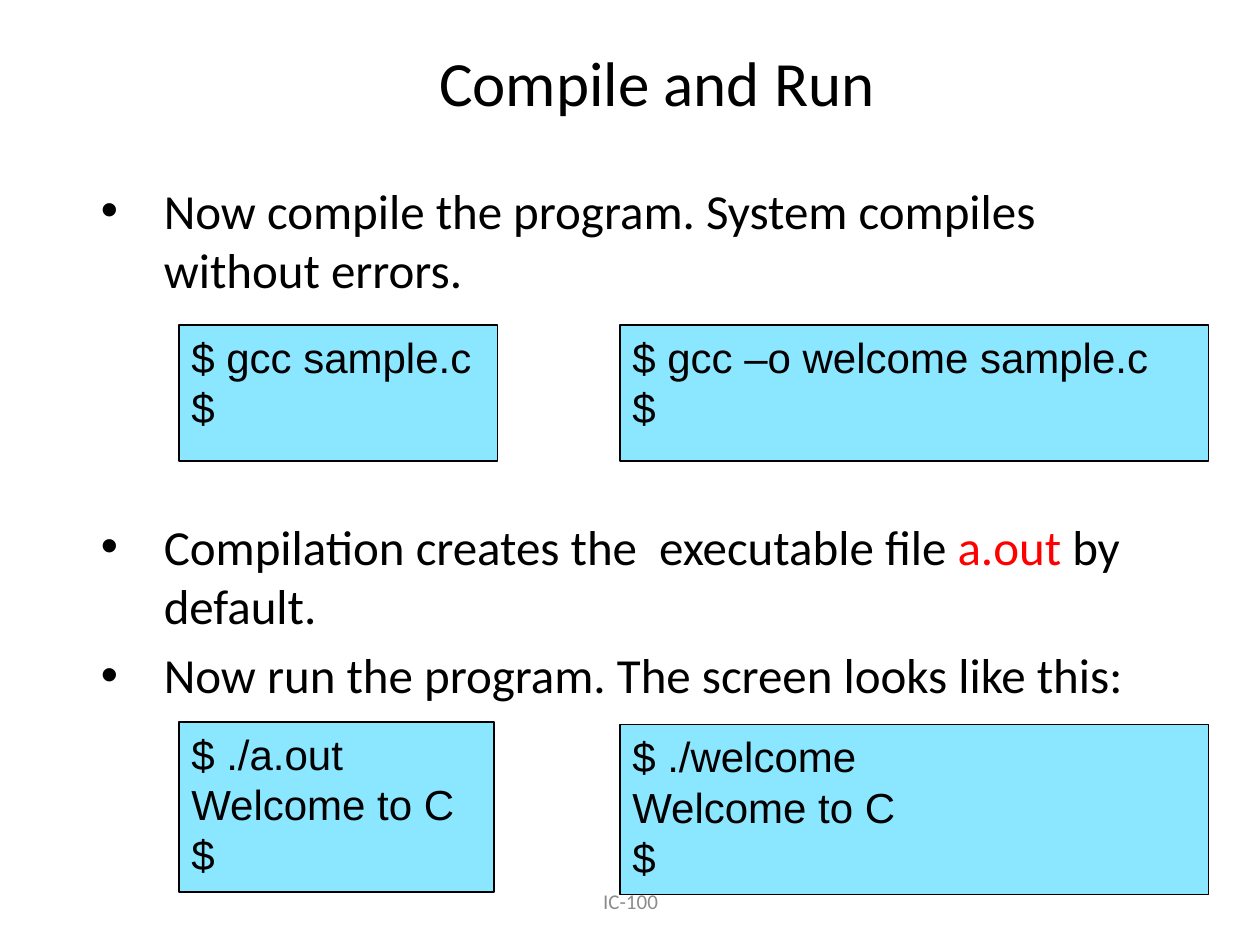
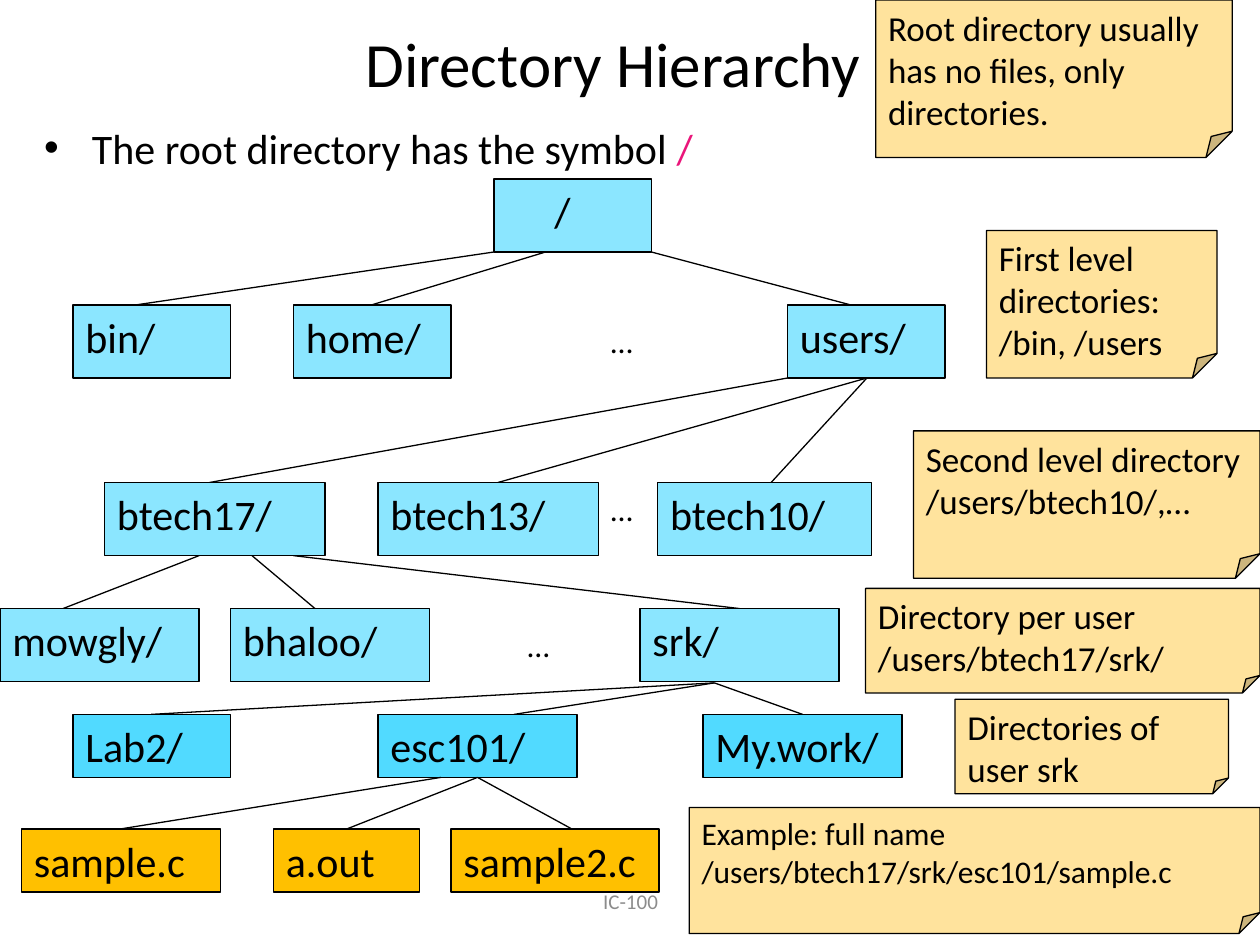
from pptx import Presentation
from pptx.dml.color import RGBColor
from pptx.enum.shapes import MSO_CONNECTOR, MSO_SHAPE
from pptx.enum.text import MSO_ANCHOR, MSO_AUTO_SIZE, PP_ALIGN
from pptx.oxml.ns import qn
from pptx.util import Inches, Pt
from lxml.etree import SubElement

BLACK = RGBColor(0x00, 0x00, 0x00)
GREY = RGBColor(0x8C, 0x8C, 0x8C)
RED = RGBColor(0xFF, 0x00, 0x00)
PINK = RGBColor(0xEA, 0x15, 0x7A)
PALE = RGBColor(0x8B, 0xE6, 0xFF)
BLUE = RGBColor(0x51, 0xDA, 0xFF)
GOLD = RGBColor(0xFF, 0xC0, 0x00)
CREAM = RGBColor(0xFF, 0xE3, 0x9D)
BODY = "Calibri"
CODE = "Arial"
EDGE = Pt(0.74)


def place(shape, box):
    shape.left, shape.top, shape.width, shape.height = map(Inches, box)


def write(para, text, size, color=BLACK, font=BODY):
    run = para.add_run()
    run.text = text
    run.font.size = Pt(size)
    run.font.name = font
    run.font.color.rgb = color


def fill_in(frame, lines, size, color=BLACK, font=BODY, align=PP_ALIGN.LEFT):
    for i, line in enumerate(lines):
        para = frame.add_paragraph() if i else frame.paragraphs[0]
        para.alignment = align
        write(para, line, size, color, font)


def title(slide, box, text):
    shape = slide.shapes.title
    place(shape, box)
    frame = shape.text_frame
    frame.auto_size = MSO_AUTO_SIZE.NONE
    frame.vertical_anchor = MSO_ANCHOR.MIDDLE
    fill_in(frame, [text], 36, align=PP_ALIGN.CENTER)


def bullets(slide, box, items, size, indent):
    shape = slide.placeholders[1]
    place(shape, box)
    frame = shape.text_frame
    frame.auto_size = MSO_AUTO_SIZE.NONE
    for i, (space, runs) in enumerate(items):
        para = frame.add_paragraph() if i else frame.paragraphs[0]
        para.space_before = Pt(space)
        props = para._p.get_or_add_pPr()
        props.set("marL", str(Inches(indent)))
        props.set("indent", str(-Inches(indent)))
        for text, color in runs:
            write(para, text, size, color)


def label(slide, box, text, size, color, align=PP_ALIGN.LEFT):
    shape = slide.shapes.add_textbox(*map(Inches, box))
    frame = shape.text_frame
    frame.word_wrap = True
    frame.vertical_anchor = MSO_ANCHOR.MIDDLE
    fill_in(frame, [text], size, color, align=align)


def footer(slide):
    label(slide, (3.42, 6.95, 3.17, 0.4), "IC-100", 12, GREY, PP_ALIGN.CENTER)


def panel(slide, box, lines, fill, size=24, font=BODY, kind=MSO_SHAPE.RECTANGLE):
    shape = slide.shapes.add_shape(kind, *map(Inches, box))
    shape.shadow.inherit = False
    shape.fill.solid()
    shape.fill.fore_color.rgb = fill
    shape.line.color.rgb = BLACK
    shape.line.width = EDGE
    frame = shape.text_frame
    frame.word_wrap = True
    frame.vertical_anchor = MSO_ANCHOR.TOP
    fill_in(frame, lines, size, font=font)
    return shape


def shell(slide, box, lines):
    panel(slide, box, lines, PALE, font=CODE, kind=MSO_SHAPE.FLOWCHART_PROCESS)


def note(slide, box, lines, size=20):
    panel(slide, box, lines, CREAM, size, kind=MSO_SHAPE.FOLDED_CORNER)


def link(slide, start, end):
    points = map(Inches, (*start, *end))
    line = slide.shapes.add_connector(MSO_CONNECTOR.STRAIGHT, *points)
    line.line.color.rgb = BLACK
    line.line.width = EDGE
    SubElement(line._element.spPr, qn("a:effectLst"))


def tier(slide, box, rise, fill, nodes, dots=None):
    left, top, _, high = box
    for name, x, wide, start, end in nodes:
        link(slide, (left + start, top - rise), (left + end, top))
        panel(slide, (left + x, top, wide, high), [name], fill)
    if dots:
        x, y = dots
        label(slide, (left + x, top + y, 0.37, 0.41), "…", 18, BLACK)


def compile_run(deck):
    slide = deck.slides.add_slide(deck.slide_layouts[1])
    title(slide, (0.43, 0.23, 9.57, 0.83), "Compile and Run")
    bullets(slide, (0.7, 1.38, 8.64, 5.44), [
        (6, [("Now compile the program. System compiles without errors.", BLACK)]),
        (125, [("Compilation creates the  executable file ", BLACK),
               ("a.out ", RED), ("by default.", BLACK)]),
        (6, [("Now run the program. The screen looks like this:", BLACK)]),
    ], 28, 0.5)
    shell(slide, (1.42, 2.58, 2.53, 1.08), ["$ gcc sample.c", "$"])
    shell(slide, (1.42, 5.73, 2.5, 1.35), ["$ ./a.out", "Welcome to C", "$"])
    shell(slide, (4.92, 2.58, 4.67, 1.08), ["$ gcc –o welcome sample.c", "$"])
    shell(slide, (4.92, 5.75, 4.67, 1.35), ["$ ./welcome", "Welcome to C", "$"])
    footer(slide)


def tree(slide):
    root = panel(slide, (3.92, 1.42, 1.25, 0.58), ["/"], PALE)
    root.text_frame.margin_left = Inches(0.48)
    tier(slide, (0.58, 2.42, 6.92, 0.58), 0.42, PALE, [
        ("bin/", 0, 1.25, 3.34, 0.5),
        ("home/", 1.75, 1.25, 3.75, 2.37),
        ("users/", 5.67, 1.25, 4.59, 6.17),
    ], (4.17, 0.08))
    tier(slide, (0.83, 3.83, 6.09, 0.58), 0.83, PALE, [
        ("btech17/", 0, 1.75, 5.42, 0.83),
        ("btech13/", 2.17, 1.75, 6.05, 3.12),
        ("btech10/", 4.39, 1.7, 6.05, 5.29),
    ], (3.92, 0))
    tier(slide, (0, 4.83, 6.66, 0.58), 0.42, PALE, [
        ("mowgly/", 0, 1.58, 1.58, 0.5),
        ("bhaloo/", 1.83, 1.58, 2, 2.5),
        ("srk/", 5.08, 1.58, 2.33, 5.87),
    ], (4.09, 0.08))
    tier(slide, (0.58, 5.67, 6.58, 0.5), 0.25, BLUE, [
        ("Lab2/", 0, 1.25, 5.09, 0.62),
        ("esc101/", 2.42, 1.58, 5.09, 3.5),
        ("My.work/", 5, 1.58, 5.09, 5.79),
    ])
    tier(slide, (0.17, 6.58, 5.06, 0.5), 0.41, GOLD, [
        ("sample.c", 0, 1.58, 3.33, 0.78),
        ("a.out", 2, 1.16, 3.62, 2.58),
        ("sample2.c", 3.41, 1.65, 3.62, 4.37),
    ])


def notes(slide):
    note(slide, (6.95, 0, 2.83, 1.25),
         ["Root directory usually has no files, only directories."])
    note(slide, (7.83, 1.83, 1.83, 1.17),
         ["First level directories:", "/bin, /users"])
    note(slide, (7.25, 3.42, 2.75, 1.17),
         ["Second level directory /users/btech10/,…"])
    note(slide, (6.87, 4.67, 3.13, 0.83),
         ["Directory per user /users/btech17/srk/"])
    note(slide, (7.58, 5.55, 2.17, 0.75), ["Directories of user srk"])
    note(slide, (5.47, 6.41, 4.53, 1),
         ["Example: full name /users/btech17/srk/esc101/sample.c"], 18)


def folders(deck):
    slide = deck.slides.add_slide(deck.slide_layouts[1])
    title(slide, (0.08, 0.08, 9.57, 0.83), "Directory Hierarchy")
    bullets(slide, (0.25, 0.92, 6.68, 1.29), [
        (6, [("The root directory has the symbol ", BLACK), ("/", PINK)]),
    ], 24, 0.38)
    tree(slide)
    notes(slide)
    footer(slide)


deck = Presentation()
deck.slide_width = Inches(10)
deck.slide_height = Inches(7.5)
compile_run(deck)
folders(deck)
deck.save("out.pptx")
